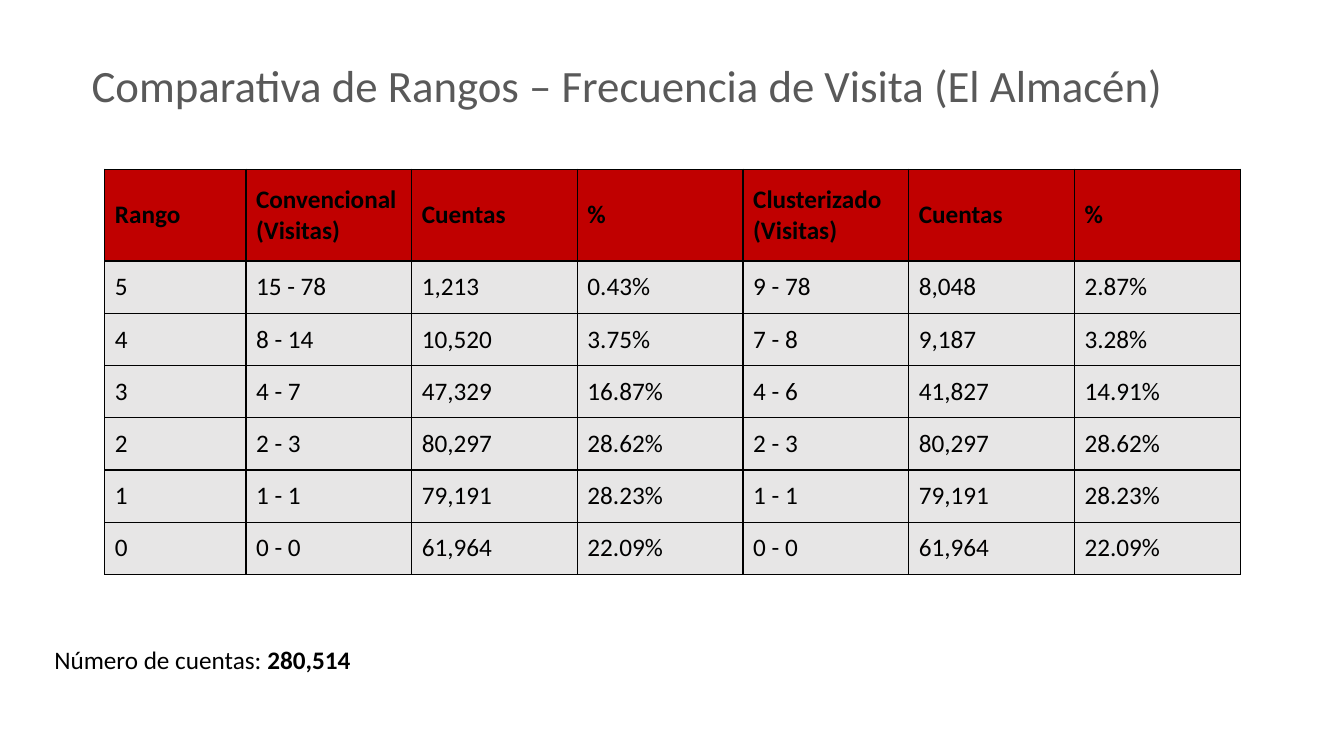
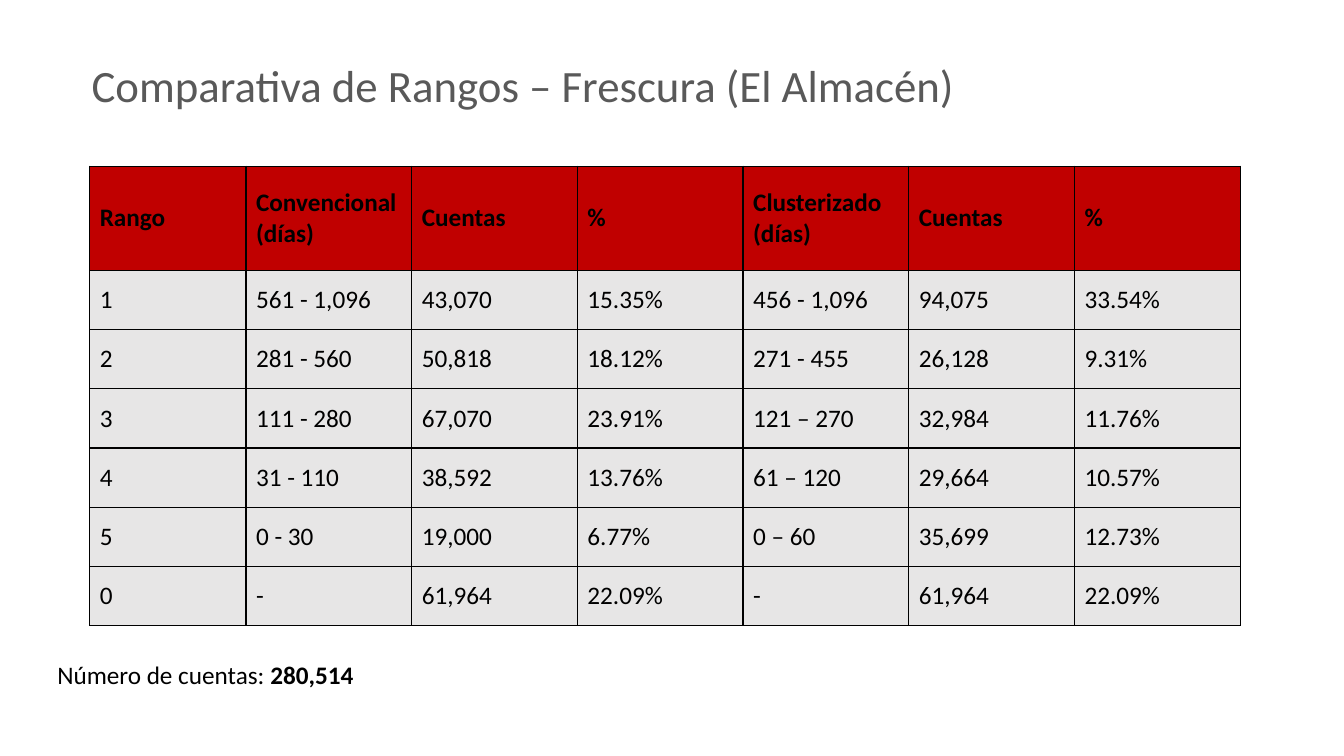
from dataclasses import dataclass

from lxml import etree
from pptx import Presentation
from pptx.dml.color import RGBColor
from pptx.enum.text import MSO_ANCHOR, MSO_AUTO_SIZE
from pptx.oxml.ns import qn
from pptx.util import Inches, Length, Pt

MIDDLE = MSO_ANCHOR.MIDDLE
GROW = MSO_AUTO_SIZE.SHAPE_TO_FIT_TEXT
BORDER_TAGS = ("a:lnL", "a:lnR", "a:lnT", "a:lnB")


@dataclass(frozen=True)
class Theme:
    font: str = "Calibri"
    title_size: Length = Pt(32)
    body_size: Length = Pt(18)
    border_width: Length = Pt(1)
    title: RGBColor = RGBColor(0x59, 0x59, 0x59)
    text: RGBColor = RGBColor(0, 0, 0)
    border: str = "000000"
    header_fill: RGBColor = RGBColor(0xC0, 0, 0)
    body_fill: RGBColor = RGBColor(0xE7, 0xE6, 0xE6)


THEME = Theme()

# Shared layout: both tables end at the same right edge
TABLE_RIGHT = Inches(12.3)
VALUES_WIDTH = Inches(9.86)
BOX_LEFT, TITLE_TOP, TITLE_HEIGHT = Inches(0.81), Inches(0.52), Inches(0.64)
TOTAL_WIDTH, TOTAL_HEIGHT = Inches(3.62), Inches(0.4)


@dataclass(frozen=True)
class Comparison:
    topic: str
    unit: str
    rows: tuple[tuple[str, ...], ...]
    table_top: Length
    table_height: Length
    header_height: Length
    rank_width: Length
    total_left: Length
    total_top: Length


COMPARISONS = (
    Comparison(
        topic="Frecuencia de Visita",
        unit="Visitas",
        rows=(
            ("5", "15 - 78", "1,213", "0.43%", "9 - 78", "8,048", "2.87%"),
            ("4", "8 - 14", "10,520", "3.75%", "7 - 8", "9,187", "3.28%"),
            ("3", "4 - 7", "47,329", "16.87%", "4 - 6", "41,827", "14.91%"),
            ("2", "2 - 3", "80,297", "28.62%", "2 - 3", "80,297", "28.62%"),
            ("1", "1 - 1", "79,191", "28.23%", "1 - 1", "79,191", "28.23%"),
            ("0", "0 - 0", "61,964", "22.09%", "0 - 0", "61,964", "22.09%"),
        ),
        table_top=Inches(1.68), table_height=Inches(4.02),
        header_height=Inches(0.91), rank_width=Inches(1.4),
        total_left=Inches(0.44), total_top=Inches(6.34),
    ),
    Comparison(
        topic="Frescura",
        unit="días",
        rows=(
            ("1", "561 - 1,096", "43,070", "15.35%", "456 - 1,096", "94,075", "33.54%"),
            ("2", "281 - 560", "50,818", "18.12%", "271 - 455", "26,128", "9.31%"),
            ("3", "111 - 280", "67,070", "23.91%", "121 – 270", "32,984", "11.76%"),
            ("4", "31 - 110", "38,592", "13.76%", "61 – 120", "29,664", "10.57%"),
            ("5", "0 - 30", "19,000", "6.77%", "0 – 60", "35,699", "12.73%"),
            ("0", "-", "61,964", "22.09%", "-", "61,964", "22.09%"),
        ),
        table_top=Inches(1.65), table_height=Inches(4.56),
        header_height=Inches(1.03), rank_width=Inches(1.55),
        total_left=Inches(0.47), total_top=Inches(6.49),
    ),
)


def add_span(para, text: str, *, size: Length = THEME.body_size,
             color: RGBColor = THEME.text, bold: bool = False) -> None:
    span = para.add_run()
    span.text = text
    span.font.name = THEME.font
    span.font.size = size
    span.font.bold = bold
    span.font.color.rgb = color


def add_box(page, left: Length, top: Length, width: Length, height: Length):
    """Add a growing text box and return its first paragraph."""
    frame = page.shapes.add_textbox(left, top, width, height).text_frame
    frame.word_wrap = True
    frame.auto_size = GROW
    return frame.paragraphs[0]


def add_borders(cell) -> None:
    properties = cell._tc.get_or_add_tcPr()
    for tag in BORDER_TAGS:
        line = etree.SubElement(properties, qn(tag), w=str(THEME.border_width))
        fill = etree.SubElement(line, qn("a:solidFill"))
        etree.SubElement(fill, qn("a:srgbClr"), val=THEME.border)


def fill_cell(cell, text: str, is_header: bool) -> None:
    add_borders(cell)
    cell.fill.solid()
    cell.fill.fore_color.rgb = THEME.header_fill if is_header else THEME.body_fill
    cell.vertical_anchor = MIDDLE
    add_span(cell.text_frame.paragraphs[0], text, bold=is_header)


def add_comparison_table(page, comparison: Comparison) -> None:
    header = ("Rango", f"Convencional ({comparison.unit})", "Cuentas", "%",
              f"Clusterizado ({comparison.unit})", "Cuentas", "%")
    rows = (header, *comparison.rows)
    width = comparison.rank_width + VALUES_WIDTH
    table = page.shapes.add_table(
        len(rows), len(header), TABLE_RIGHT - width, comparison.table_top,
        width, comparison.table_height).table
    table.horz_banding = False

    # The first column and row differ; the others share what is left
    for index, column in enumerate(table.columns):
        column.width = VALUES_WIDTH // (len(header) - 1) if index else comparison.rank_width
    body_height = (comparison.table_height - comparison.header_height) // len(comparison.rows)
    for row_index, values in enumerate(rows):
        table.rows[row_index].height = body_height if row_index else comparison.header_height
        for column_index, value in enumerate(values):
            fill_cell(table.cell(row_index, column_index), value, row_index == 0)


def add_comparison_page(deck, comparison: Comparison) -> None:
    page = deck.slides.add_slide(deck.slide_layouts[6])

    # Title
    title = add_box(page, BOX_LEFT, TITLE_TOP,
                    comparison.rank_width + VALUES_WIDTH, TITLE_HEIGHT)
    add_span(title, f"Comparativa de Rangos – {comparison.topic} (El Almacén)",
             size=THEME.title_size, color=THEME.title)

    add_comparison_table(page, comparison)

    # Total of accounts
    total = add_box(page, comparison.total_left, comparison.total_top,
                    TOTAL_WIDTH, TOTAL_HEIGHT)
    add_span(total, "Número de cuentas: ")
    add_span(total, "280,514", bold=True)


def main() -> None:
    deck = Presentation()
    deck.slide_width, deck.slide_height = Inches(13.33), Inches(7.5)
    for comparison in COMPARISONS:
        add_comparison_page(deck, comparison)
    deck.save("out.pptx")


if __name__ == "__main__":
    main()
